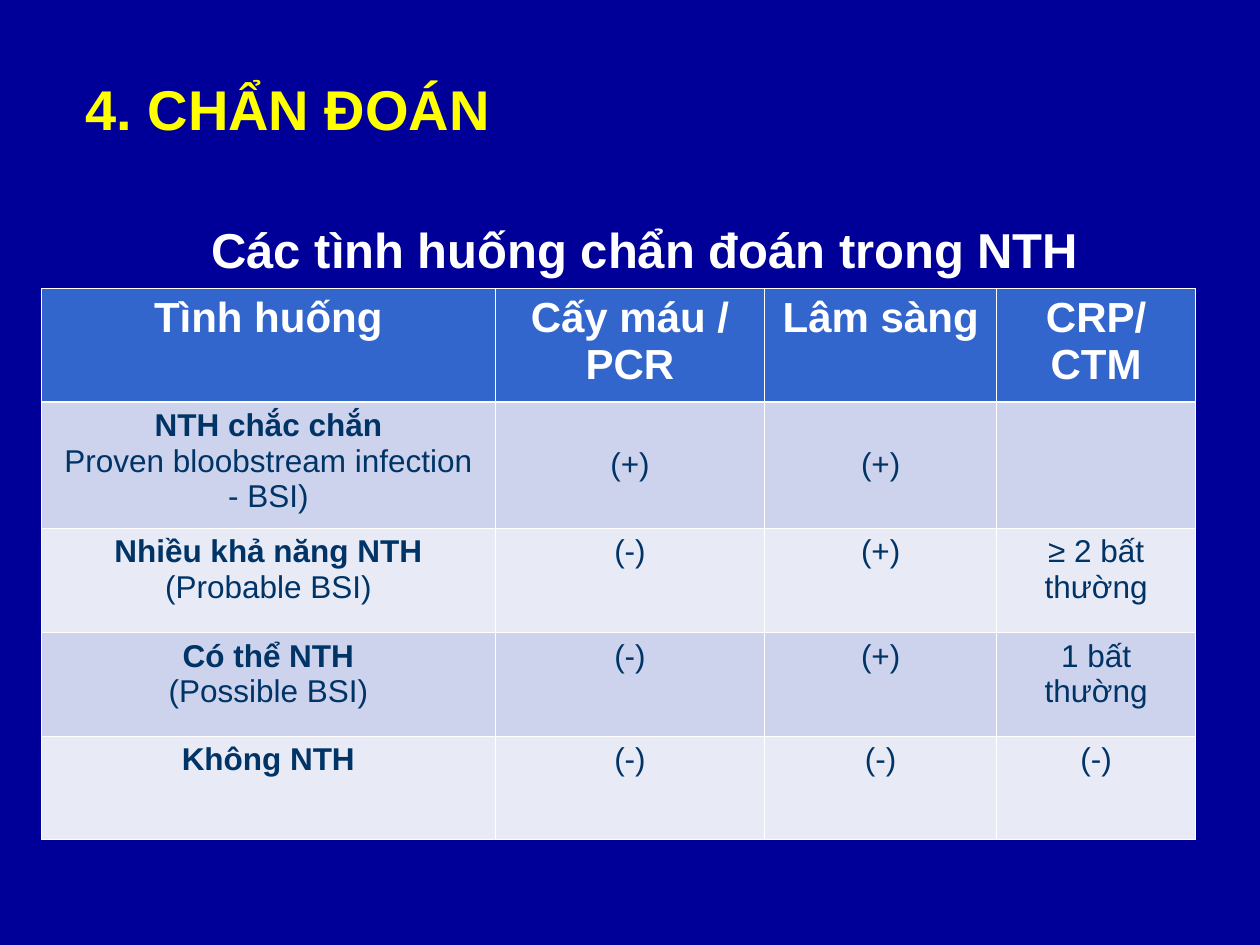
from lxml.etree import SubElement
from pptx import Presentation
from pptx.dml.color import RGBColor
from pptx.enum.text import MSO_ANCHOR, PP_ALIGN
from pptx.oxml.ns import qn
from pptx.util import Inches, Pt

COLORS = {
    "background": "000099",
    "title": "FFFF00",
    "light": "FFFFFF",
    "header": "3366CC",
    "odd_row": "CDD3EC",
    "even_row": "E8EAF6",
    "body": "003366",
}
COLUMN_WIDTHS = [3.6, 2.14, 1.84, 1.58]
ROW_HEIGHTS = [0.9, 1, 0.83, 0.82, 0.82]
HEADERS = [["Tình huống"], ["Cấy máu / PCR"], ["Lâm sàng"], ["CRP/", "CTM"]]
SITUATIONS = [
    ([["NTH chắc chắn"], ["Proven bloobstream infection"], ["- BSI)"]], "(+)", "(+)", ""),
    ([["Nhiều khả năng NTH ", "(Probable BSI)"]], "(-)", "(+)", "≥ 2 bất thường"),
    ([["Có thể NTH"], ["(Possible BSI)"]], "(-)", "(+)", "1 bất thường"),
    ([["Không NTH"]], "(-)", "(-)", "(-)"),
]


def add_span(para, text, size=18, color="body", bold=False):
    """Add one formatted run to a paragraph."""
    span = para.add_run()
    span.text = text
    span.font.name = "Arial"
    span.font.size = Pt(size)
    span.font.bold = bold
    span.font.color.rgb = RGBColor.from_string(COLORS[color])


class SlideBuilder:
    def __init__(self, page):
        self.page = page
        fill = page.background.fill
        fill.solid()
        fill.fore_color.rgb = RGBColor.from_string(COLORS["background"])

    def add_heading(self, title, subtitle):
        box = self.page.shapes.add_textbox(
            Inches(0.58), Inches(0.72), Inches(8.67), Inches(1.28)
        )
        frame = box.text_frame
        frame.word_wrap = True
        frame.vertical_anchor = MSO_ANCHOR.MIDDLE
        frame.margin_top = Inches(0.13)
        add_span(frame.paragraphs[0], title, size=32, color="title", bold=True)
        para = frame.add_paragraph()
        para.space_before = Pt(44)
        para._p.get_or_add_pPr().set("marL", str(Inches(1)))
        add_span(para, subtitle, size=28, color="light", bold=True)

    def add_grid(self):
        shape = self.page.shapes.add_table(
            len(ROW_HEIGHTS), len(COLUMN_WIDTHS), Inches(0.33), Inches(2.29),
            Inches(sum(COLUMN_WIDTHS)), Inches(sum(ROW_HEIGHTS)),
        )
        table = shape.table
        for column, width in zip(table.columns, COLUMN_WIDTHS):
            column.width = Inches(width)
        for row, height in zip(table.rows, ROW_HEIGHTS):
            row.height = Inches(height)
        return table

    def style_cell(self, cell, fill, top=0.45, bottom=0.45):
        properties = cell._tc.get_or_add_tcPr()
        for side, width in (("L", 0.45), ("R", 0.45), ("T", top), ("B", bottom)):
            line = SubElement(properties, qn(f"a:ln{side}"), w=str(Pt(width)))
            paint = SubElement(line, qn("a:solidFill"))
            SubElement(paint, qn("a:srgbClr"), val=COLORS["light"])
        cell.fill.solid()
        cell.fill.fore_color.rgb = RGBColor.from_string(COLORS[fill])

    def write_cell(self, cell, lines, **style):
        frame = cell.text_frame
        for index, spans in enumerate(lines):
            para = frame.add_paragraph() if index else frame.paragraphs[0]
            para.alignment = PP_ALIGN.CENTER
            for position, text in enumerate(spans):
                first = index == position == 0
                add_span(para, text, **{"bold": first, **style})

    def add_diagnosis_table(self):
        table = self.add_grid()
        for column, lines in enumerate(HEADERS):
            cell = table.cell(0, column)
            self.style_cell(cell, "header", bottom=1.47)
            self.write_cell(
                cell, [[line] for line in lines], size=24, color="light", bold=True
            )
        for row, (name, *results) in enumerate(SITUATIONS, 1):
            fill = "odd_row" if row % 2 else "even_row"
            for column in range(len(COLUMN_WIDTHS)):
                cell = table.cell(row, column)
                self.style_cell(cell, fill, top=1.47 if row == 1 else 0.45)
                if column == 0:
                    self.write_cell(cell, name)
                elif results[column - 1]:
                    self.write_cell(cell, [[results[column - 1]]], bold=False)
                    if row == 1:
                        cell.vertical_anchor = MSO_ANCHOR.MIDDLE


def main():
    deck = Presentation()
    deck.slide_width = Inches(10)
    deck.slide_height = Inches(7.5)
    builder = SlideBuilder(deck.slides.add_slide(deck.slide_layouts[6]))
    builder.add_heading("4. CHẨN ĐOÁN", "Các tình huống chẩn đoán trong NTH")
    builder.add_diagnosis_table()
    deck.save("out.pptx")


if __name__ == "__main__":
    main()
